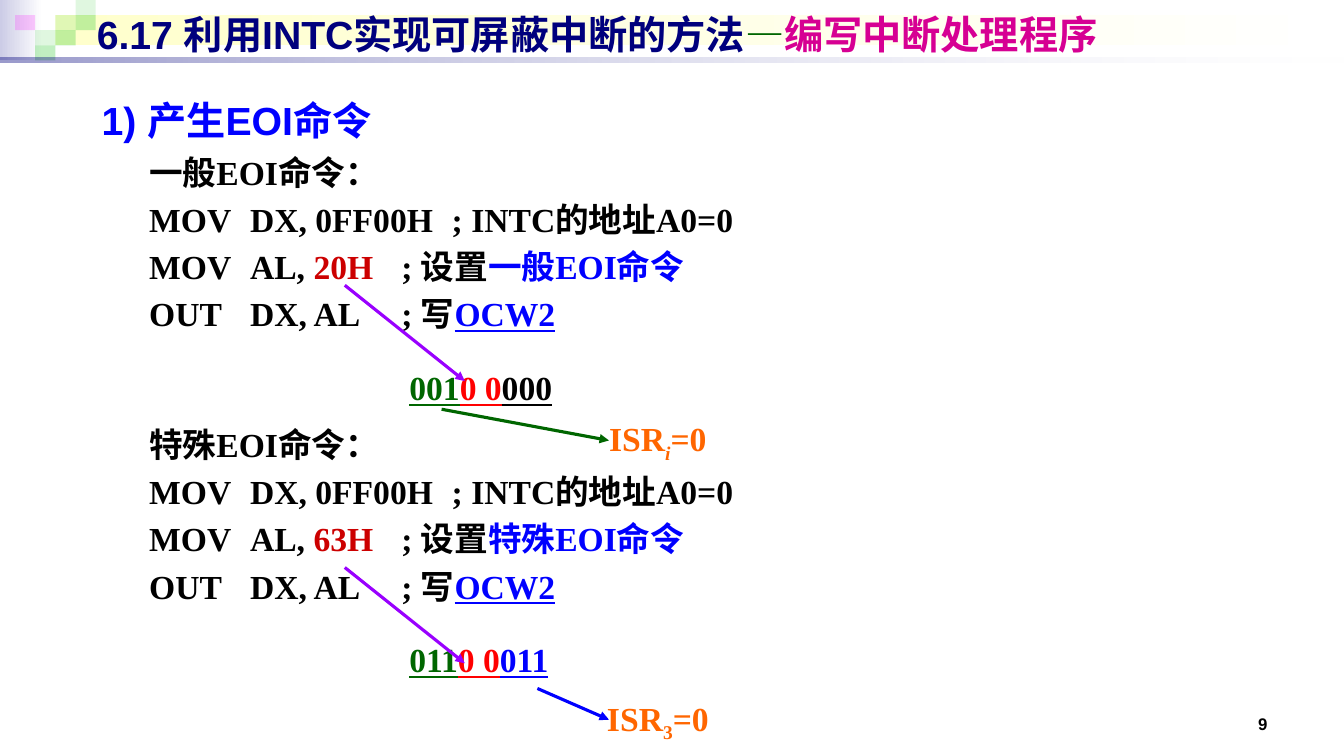
from pptx import Presentation
from pptx.dml.color import RGBColor
from pptx.enum.shapes import MSO_CONNECTOR as Link, MSO_SHAPE as Kind
from pptx.enum.text import MSO_ANCHOR as Anchor, MSO_AUTO_SIZE as Fit, PP_ALIGN as Align
from pptx.oxml.ns import qn
from pptx.util import Inches, Pt
from lxml.etree import SubElement as Sub

BLACK = RGBColor(0, 0, 0)
WHITE = RGBColor(0xFF, 0xFF, 0xFF)
NAVY = RGBColor(0, 0, 0x7D)
BLUE = RGBColor(0, 0, 0xFF)
LILAC = RGBColor(0xCC, 0xCC, 0xE6)
CREAM = RGBColor(0xFF, 0xFF, 0xCC)
LIME = RGBColor(0x33, 0xCC, 0x33)
PINK = RGBColor(0xFF, 0, 0xFF)
ROSE = RGBColor(0xD6, 0, 0x93)
GREEN = RGBColor(0, 0x66, 0)
RED = RGBColor(0xFF, 0, 0)
BRICK = RGBColor(0xCC, 0, 0)
ORANGE = RGBColor(0xFF, 0x66, 0)
PURPLE = RGBColor(0x99, 0, 0xFF)
SANS, SERIF = "Arial", "Times New Roman"


def place(shape, box):
    """Move a shape to a box given in inches."""
    shape.left, shape.top, shape.width, shape.height = map(Inches, box)


def block(group, box, colors, alphas=()):
    """Draw a plain or graded bar, see-through by the given percentages."""
    bar = group.shapes.add_shape(Kind.RECTANGLE, *map(Inches, box))
    bar.shadow.inherit = False
    bar.line.fill.background()
    if len(colors) == 1:
        bar.fill.solid()
        bar.fill.fore_color.rgb = colors[0]
    else:
        bar.fill.gradient()
        bar.fill.gradient_angle = 0
        for stop, color in zip(bar.fill.gradient_stops, colors):
            stop.color.rgb = color
    tones = bar._element.spPr.iter(qn("a:srgbClr"))
    for tone, alpha in zip(tones, alphas):
        Sub(tone, qn("a:alpha")).set("val", str(alpha * 1000))


def banner(slide, box):
    """Draw the head band with its mosaic behind all text."""
    x, y, w, h = box
    group = slide.shapes.add_group_shape()
    block(group, (x, y, 0.42, 0.6), (LILAC, WHITE))
    block(group, (x + 0.55, y + 0.15, w - 0.6, 0.3), (CREAM, WHITE))
    tiles = [(2, 1, LIME, 15), (3, 0, LIME, 15), (3, 1, LIME, 30), (1, 2, LIME, 15),
             (0, 1, PINK, 20), (2, 2, LIME, 30), (1, 3, LIME, 30)]
    for col, row, color, alpha in tiles:
        spot = (x + 0.15 + 0.2 * col, y + 0.15 * row, 0.2, 0.15)
        block(group, spot, (color,), (alpha,))
    block(group, (x, y + h - 0.05, w, 0.05), (NAVY, WHITE), (40, 10))
    slide.shapes._spTree.insert(2, group._element)


def write(para, parts, size, face, before=0, align=Align.LEFT):
    """Fill a paragraph with (text, colour, marks) runs: u, i and s for subscript."""
    font = para.font
    font.size, font.name, font.bold = Pt(size), face, True
    para.space_before, para.alignment = Pt(before), align
    for text, color, *marks in parts:
        run = para.add_run()
        run.text = text
        run.font.color.rgb = color
        if "u" in marks:
            run.font.underline = True
        if "i" in marks:
            run.font.italic = True
        if "s" in marks:
            run._r.get_or_add_rPr().set("baseline", "-25000")


def label(slide, box, parts, size, face, align=Align.LEFT, anchor=Anchor.TOP):
    """Add a one-line text box."""
    frame = slide.shapes.add_textbox(*map(Inches, box)).text_frame
    frame.word_wrap = True
    frame.vertical_anchor = anchor
    write(frame.paragraphs[0], parts, size, face, align=align)


def title(slide, box):
    """Set the slide title."""
    head = slide.shapes.title
    place(head, box)
    frame = head.text_frame
    frame.auto_size, frame.vertical_anchor = Fit.NONE, Anchor.MIDDLE
    parts = [("6.17 利用INTC实现可屏蔽中断的方法", NAVY), ("—", GREEN),
             ("编写中断处理程序", ROSE)]
    write(frame.paragraphs[0], parts, 28, SANS)


def listing(kind, code, bits):
    """Give the (space before, indent, runs) lines of one EOI command."""
    return [
        (12, 0, [(f"{kind}EOI命令：", BLACK)]),
        (4.8, 0, [("MOV\tDX, 0FF00H\t; INTC的地址A0=0", BLACK)]),
        (4.8, 0, [("MOV\tAL, ", BLACK), (code, BRICK), ("\t; 设置", BLACK),
                  (f"{kind}EOI命令", BLUE)]),
        (4.8, 0, [("OUT\tDX, AL\t; 写", BLACK), ("OCW2", BLUE, "u")]),
        (24, 2.58, [(text, color, "u") for text, color in bits]),
    ]


def body(slide, box):
    """Set both code listings in the body placeholder."""
    holder = slide.placeholders[1]
    place(holder, box)
    frame = holder.text_frame
    frame.auto_size = Fit.NONE
    lines = listing("一般", "20H", [("001", GREEN), ("0 0", RED), ("000", BLACK)])
    lines += listing("特殊", "63H", [("011", GREEN), ("0 0", RED), ("011", BLUE)])
    for n, (before, indent, parts) in enumerate(lines):
        para = frame.add_paragraph() if n else frame.paragraphs[0]
        write(para, parts, 24, SERIF, before if n else 0)
        props = para._p.get_or_add_pPr()
        props.set("marL", str(Inches(indent)))
        props.set("indent", "0")
        rest = props.find(qn("a:defRPr"))
        marks = [Sub(props, qn("a:buNone")), Sub(props, qn("a:tabLst"))]
        for stop in (1, 3):
            tab = Sub(marks[1], qn("a:tab"))
            tab.set("pos", str(Inches(stop)))
            tab.set("algn", "l")
        for mark in marks:
            rest.addprevious(mark)


def arrow(slide, start, end, color):
    """Draw an arrow between two points in inches."""
    link = slide.shapes.add_connector(Link.STRAIGHT, *map(Inches, start + end))
    link.line.color.rgb, link.line.width = color, Pt(2.25)
    Sub(link.line._get_or_add_ln(), qn("a:tailEnd")).set("type", "triangle")
    Sub(link._element.spPr, qn("a:effectLst"))


def result(slide, box, index, start, color):
    """Add an ISR label and the arrow that leads to it."""
    x, y, w, h = box
    parts = [("ISR", ORANGE), index, ("=0", ORANGE)]
    label(slide, box, parts, 24, SERIF, Align.CENTER)
    arrow(slide, start, (x + 0.3, y + 0.27), color)


def main():
    """Build the slide and save it."""
    deck = Presentation()
    deck.slide_width, deck.slide_height = Inches(13.33), Inches(7.5)
    slide = deck.slides.add_slide(deck.slide_layouts[1])
    banner(slide, (0, 0, 13.33, 0.62))
    title(slide, (0.86, 0.05, 12, 0.57))
    label(slide, (0.91, 0.91, 9.37, 0.55), [("1) 产生EOI命令", BLUE)], 28, SANS)
    body(slide, (1.38, 1.46, 9.06, 5.83))
    for y in (2.83, 5.63):
        arrow(slide, (3.42, y), (4.61, y + 0.95), PURPLE)
    result(slide, (5.74, 4.1, 1.57, 0.5), ("i", ORANGE, "i", "s"), (4.38, 4.06), GREEN)
    result(slide, (5.74, 6.87, 1.57, 0.5), ("3", ORANGE, "s"), (5.33, 6.83), BLUE)
    label(slide, (9.56, 6.83, 3.11, 0.5), [("9", BLACK)], 12, SANS, Align.RIGHT,
          Anchor.BOTTOM)
    deck.save("out.pptx")


if __name__ == "__main__":
    main()
